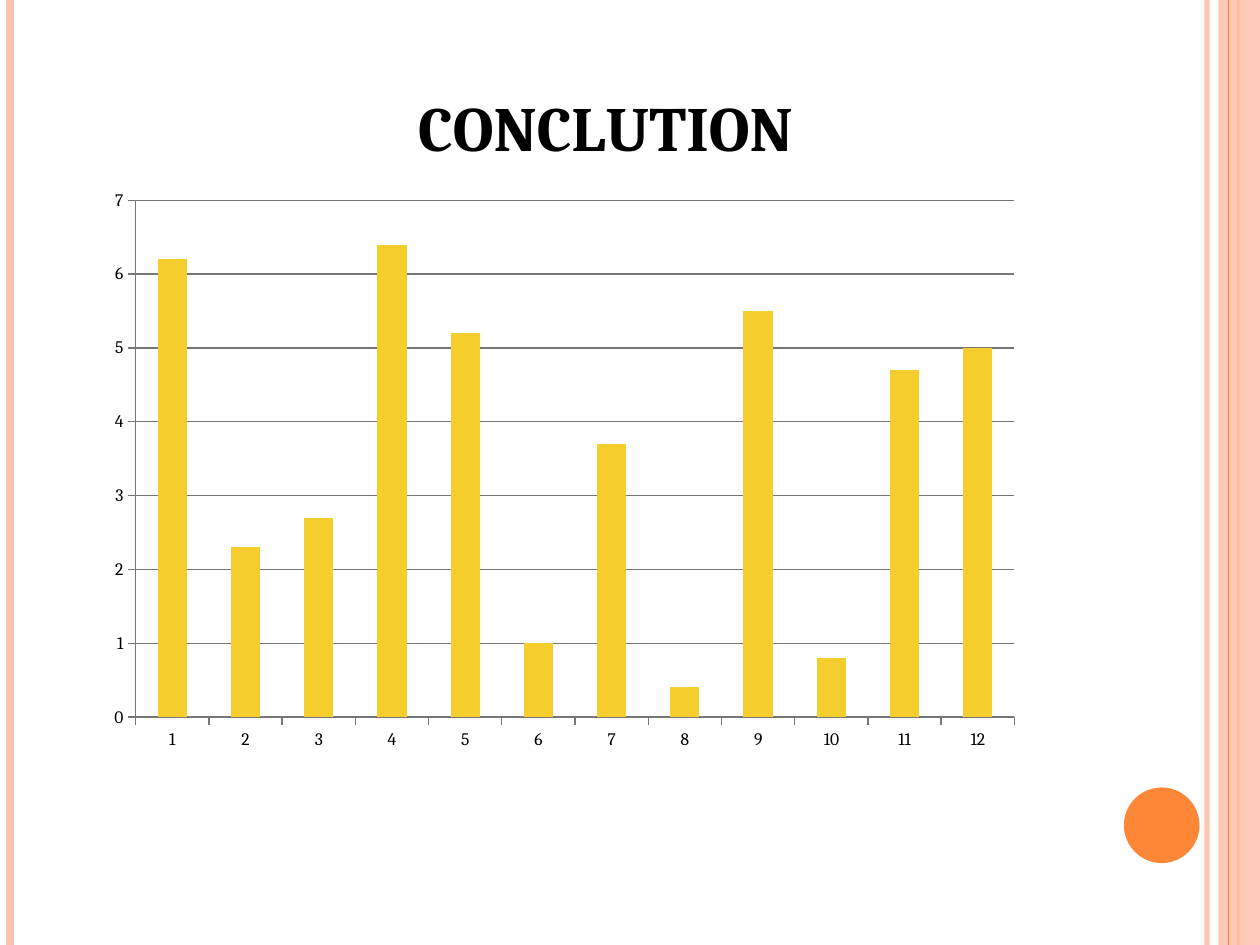
from lxml.etree import SubElement
from pptx import Presentation
from pptx.chart.data import CategoryChartData
from pptx.dml.color import RGBColor
from pptx.enum.chart import XL_CHART_TYPE, XL_TICK_MARK
from pptx.enum.shapes import MSO_CONNECTOR, MSO_SHAPE
from pptx.oxml import parse_xml
from pptx.oxml.ns import nsdecls, qn
from pptx.util import Inches, Pt

COLORS = {"peach": "FEC3AE", "orange": "FE8637", "bar": "F5CD2D",
          "grid": "767676", "text": "000000"}
FONT = "Cambria"
VALUES = [6.2, 2.3, 2.7, 6.4, 5.2, 1, 3.7, 0.4, 5.5, 0.8, 4.7, 5]


class SlideBuilder:
    def __init__(self, width, height):
        self.deck = Presentation()
        self.deck.slide_width = Inches(width)
        self.deck.slide_height = Inches(height)
        self.width, self.height = width, height
        self.page = self.deck.slides.add_slide(self.deck.slide_layouts[6])

    def color(self, name):
        return RGBColor.from_string(COLORS[name])

    def frame(self, left, top, width, height):
        return (Inches(left * self.width), Inches(top * self.height),
                Inches(width * self.width), Inches(height * self.height))

    def set_alpha(self, element, percent):
        for color in element.iter(qn("a:srgbClr")):
            SubElement(color, qn("a:alpha")).set("val", str(percent * 1000))

    def stripe(self, share, color, weight, alpha=None):
        x = Inches(share * self.width)
        line = self.page.shapes.add_connector(
            MSO_CONNECTOR.STRAIGHT, x, 0, x, self.deck.slide_height)
        line.line.color.rgb = self.color(color)
        line.line.width = Pt(weight)
        properties = line._element.spPr
        if alpha:
            self.set_alpha(properties, alpha)
        SubElement(properties, qn("a:effectLst"))

    def shape(self, kind, frame, color, alpha=None):
        shape = self.page.shapes.add_shape(kind, *self.frame(*frame))
        shape.shadow.inherit = False
        shape.fill.solid()
        shape.fill.fore_color.rgb = self.color(color)
        shape.line.fill.background()
        if alpha:
            self.set_alpha(shape._element.spPr, alpha)

    def place(self, element, index, **shares):
        for old in element.findall(qn("c:layout")):
            element.remove(old)
        target = '<c:layoutTarget val="inner"/>' if "w" in shares else ""
        modes = "".join(f'<c:{key}Mode val="edge"/>' for key in ("x", "y"))
        sizes = "".join(f'<c:{key} val="{share}"/>' for key, share in shares.items())
        element.insert(index, parse_xml(
            f'<c:layout {nsdecls("c")}><c:manualLayout>{target}{modes}{sizes}'
            '</c:manualLayout></c:layout>'))

    def style_axis(self, axis):
        axis.major_tick_mark = XL_TICK_MARK.OUTSIDE
        axis.minor_tick_mark = XL_TICK_MARK.NONE
        self.style_line(axis.format.line)

    def style_line(self, line):
        line.color.rgb = self.color("grid")
        line.width = Pt(0.75)

    def column_chart(self, title, values, frame):
        data = CategoryChartData()
        data.categories = [str(number) for number in range(1, len(values) + 1)]
        data.add_series("Series 1", values)
        chart = self.page.shapes.add_chart(
            XL_CHART_TYPE.COLUMN_CLUSTERED, *self.frame(*frame), data).chart
        chart.has_legend = False
        chart.font.name = FONT
        chart.font.size = Pt(10)
        chart.font.color.rgb = self.color("text")

        chart.has_title = True
        chart.chart_title.text_frame.text = title
        span = chart.chart_title.text_frame.paragraphs[0].runs[0]
        span.font.name = FONT
        span.font.size = Pt(36)
        span.font.bold = True
        span.font.color.rgb = self.color("text")
        self.place(chart.chart_title._element, 1, x=0.33, y=0.01)
        self.place(chart._chartSpace.chart.plotArea, 0, x=0.04, y=0.19, w=0.94, h=0.75)

        plot = chart.plots[0]
        plot.vary_by_categories = False
        plot.gap_width = 150
        fill = plot.series[0].format.fill
        fill.solid()
        fill.fore_color.rgb = self.color("bar")

        self.style_axis(chart.category_axis)
        scale = chart.value_axis
        self.style_axis(scale)
        scale.minimum_scale, scale.maximum_scale, scale.major_unit = 0, 7, 1
        scale.tick_labels.number_format = "0"
        scale.tick_labels.number_format_is_linked = False
        scale.has_major_gridlines = True
        self.style_line(scale.major_gridlines.format.line)


def main():
    slide = SlideBuilder(10, 7.5)
    slide.stripe(0.958, "peach", 3, alpha=93)
    slide.stripe(0.008, "peach", 4.5)
    slide.stripe(0.983, "orange", 1.5)
    slide.shape(MSO_SHAPE.RECTANGLE, (0.967, 0, 0.033, 1), "peach", alpha=87)
    slide.stripe(0.975, "orange", 0.75)
    slide.shape(MSO_SHAPE.OVAL, (0.892, 6.25 / 7.5, 0.06, 0.08), "orange")
    slide.column_chart("CONCLUTION", VALUES, (0.078, 0.55 / 7.5, 0.742, 5.47 / 7.5))
    slide.deck.save("out.pptx")


if __name__ == "__main__":
    main()
